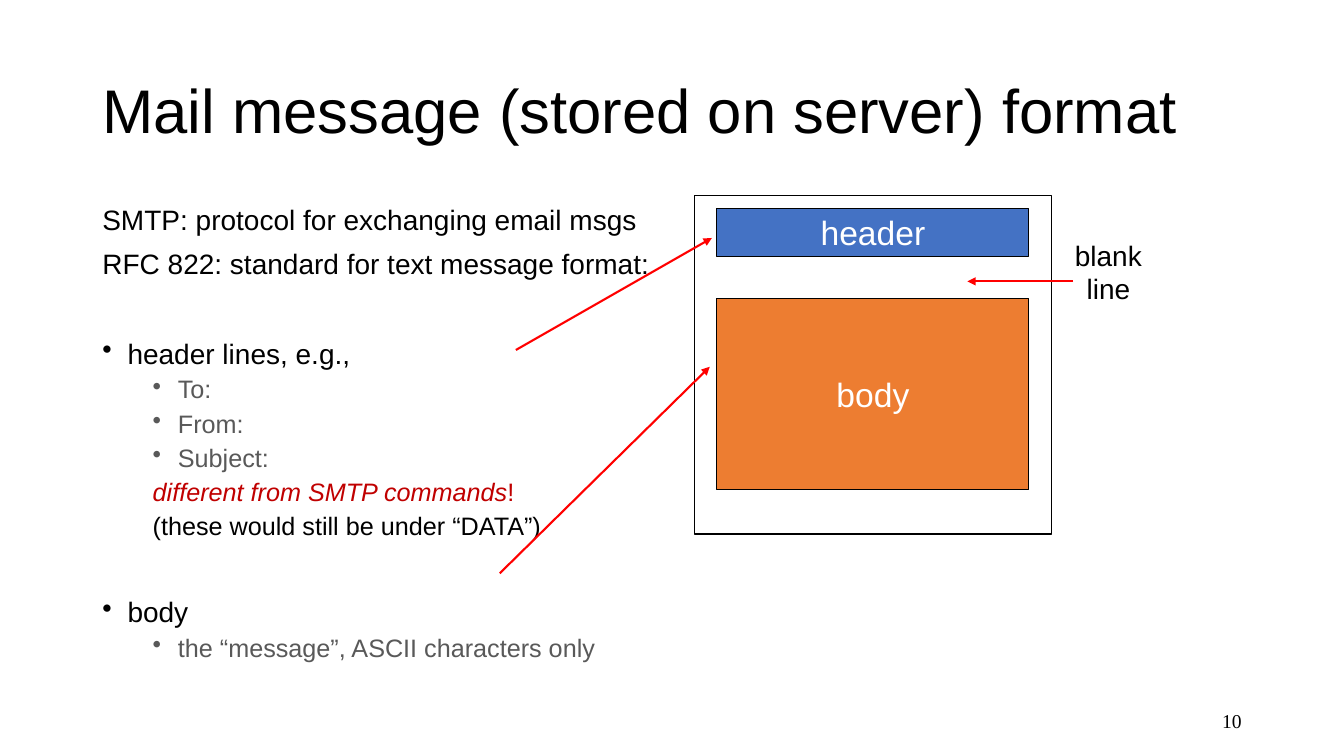
from dataclasses import dataclass

from lxml import etree
from pptx import Presentation
from pptx.dml.color import RGBColor
from pptx.enum.shapes import MSO_CONNECTOR, MSO_SHAPE
from pptx.enum.text import MSO_ANCHOR, PP_ALIGN
from pptx.oxml.ns import qn
from pptx.util import Pt

STRAIGHT = MSO_CONNECTOR.STRAIGHT
RECTANGLE = MSO_SHAPE.RECTANGLE
TOP, MIDDLE = MSO_ANCHOR.TOP, MSO_ANCHOR.MIDDLE
LEFT, CENTER, RIGHT = PP_ALIGN.LEFT, PP_ALIGN.CENTER, PP_ALIGN.RIGHT


@dataclass(frozen=True)
class Theme:
    """Colours, fonts and type sizes of the slide."""
    black: str = "000000"
    white: str = "FFFFFF"
    grey: str = "595959"
    crimson: str = "C00000"
    red: str = "FF0000"
    blue: str = "4472C4"
    orange: str = "ED7D31"
    font: str = "Arial"
    number_font: str = "Times New Roman"
    title_size: int = 44
    section_size: int = 24
    text_size: int = 20
    detail_size: int = 18
    number_size: int = 14


THEME = Theme()


def write(paragraph, text, size=THEME.text_size, color=THEME.black,
          font=THEME.font, italic=False, align=LEFT):
    """Append a formatted run to a paragraph."""
    paragraph.alignment = align
    run = paragraph.add_run()
    run.text = text
    run.font.name = font
    run.font.size = Pt(size)
    run.font.italic = italic
    run.font.color.rgb = RGBColor.from_string(color)


def add_text_frame(slide, box, anchor=TOP, wrap=True):
    """Add a text box and return its text frame."""
    frame = slide.shapes.add_textbox(*map(Pt, box)).text_frame
    frame.word_wrap = wrap
    frame.vertical_anchor = anchor
    return frame


def add_rectangle(slide, box, line_width, fill=None):
    """Add a black-edged rectangle, hollow unless a fill is given."""
    shape = slide.shapes.add_shape(RECTANGLE, *map(Pt, box))
    shape.shadow.inherit = False
    shape.line.color.rgb = RGBColor.from_string(THEME.black)
    shape.line.width = Pt(line_width)
    if fill:
        shape.fill.solid()
        shape.fill.fore_color.rgb = RGBColor.from_string(fill)
    else:
        shape.fill.background()
    return shape


def add_arrow(slide, start, end):
    """Add a red arrow between two points."""
    connector = slide.shapes.add_connector(STRAIGHT, *map(Pt, (*start, *end)))
    connector.line.color.rgb = RGBColor.from_string(THEME.red)
    connector.line.width = Pt(1.5)
    properties = connector._element.spPr
    head = etree.SubElement(properties.find(qn("a:ln")), qn("a:tailEnd"))
    head.set("type", "triangle")
    etree.SubElement(properties, qn("a:effectLst"))


def add_title(slide, box, text):
    """Add the slide title."""
    paragraph = add_text_frame(slide, box, anchor=MIDDLE).paragraphs[0]
    paragraph.line_spacing = 0.9
    write(paragraph, text, size=THEME.title_size)


def add_outline(slide, box, items):
    """Add the two-level outline of (level, bullet, space before, runs)."""
    frame = add_text_frame(slide, box)
    for index, (level, bullet, space, runs) in enumerate(items):
        paragraph = frame.paragraphs[0] if index == 0 else frame.add_paragraph()
        paragraph.level = level
        paragraph.line_spacing = 0.9
        paragraph.space_before = Pt(space)
        properties = paragraph._p.get_or_add_pPr()
        properties.set("marL", str(Pt(18 + 36 * level)))
        properties.set("indent", str(-Pt(18)))
        if bullet:
            etree.SubElement(properties, qn("a:buChar")).set("char", "•")
        else:
            etree.SubElement(properties, qn("a:buNone"))
        for text, style in runs:
            write(paragraph, text, **style)


def add_message_diagram(slide, box):
    """Add the message frame with its header and body sections."""
    left, top, width, _ = box
    inset = 16
    sections = [("header", 9.5, 34, THEME.blue), ("body", 73.5, 137, THEME.orange)]
    for name, offset, height, fill in sections:
        section_box = (left + inset, top + offset, width - 2 * inset, height)
        frame = add_rectangle(slide, section_box, 0.75, fill).text_frame
        frame.word_wrap = False
        frame.vertical_anchor = MIDDLE
        write(frame.paragraphs[0], name, size=THEME.section_size,
              color=THEME.white, align=CENTER)
    add_rectangle(slide, box, 1)


def add_blank_line_label(slide, box):
    """Add the blank line label and the arrow leading from it."""
    left, top, _, _ = box
    frame = add_text_frame(slide, box, wrap=False)
    write(frame.paragraphs[0], "blank", align=CENTER)
    write(frame.add_paragraph(), "line", align=CENTER)
    add_arrow(slide, (left + 6.5, top + 34.5), (left - 69, top + 34.5))


def add_page_number(slide, box, number):
    """Add the page number."""
    frame = add_text_frame(slide, box, anchor=MIDDLE)
    write(frame.paragraphs[0], number, size=THEME.number_size,
          font=THEME.number_font, align=RIGHT)


def main():
    """Build and save the presentation."""
    presentation = Presentation()
    presentation.slide_width, presentation.slide_height = Pt(960), Pt(540)
    slide = presentation.slides.add_slide(presentation.slide_layouts[6])
    detail = {"size": THEME.detail_size, "color": THEME.grey}
    warning = {"size": THEME.detail_size, "color": THEME.crimson}
    remark = {"size": THEME.detail_size}
    outline = [
        (0, False, 0, [("SMTP: protocol for exchanging email msgs", {})]),
        (0, False, 10, [("RFC 822: standard for text message format:", {})]),
        (0, True, 42, [("header lines, e.g.,", {})]),
        *[(1, True, 5, [(field, detail)]) for field in ("To:", "From:", "Subject:")],
        (1, False, 5, [("different from SMTP commands", {**warning, "italic": True}),
                       ("!", warning)]),
        (1, False, 5, [("(these would still be under “DATA”)", remark)]),
        (0, True, 41, [("body", {})]),
        (1, True, 5, [("the “message”, ASCII characters only", detail)]),
    ]
    add_page_number(slide, (678, 500.5, 216, 29), "10")
    add_outline(slide, (66, 144, 408.5, 343), outline)
    add_message_diagram(slide, (496, 139.5, 255, 242))
    add_arrow(slide, (368.5, 250), (508.5, 170))
    add_arrow(slide, (357, 409.5), (507, 262))
    add_blank_line_label(slide, (760, 166.5, 63.5, 55.5))
    add_title(slide, (66, 29, 828, 104.5), "Mail message (stored on server) format")
    presentation.save("out.pptx")


if __name__ == "__main__":
    main()
